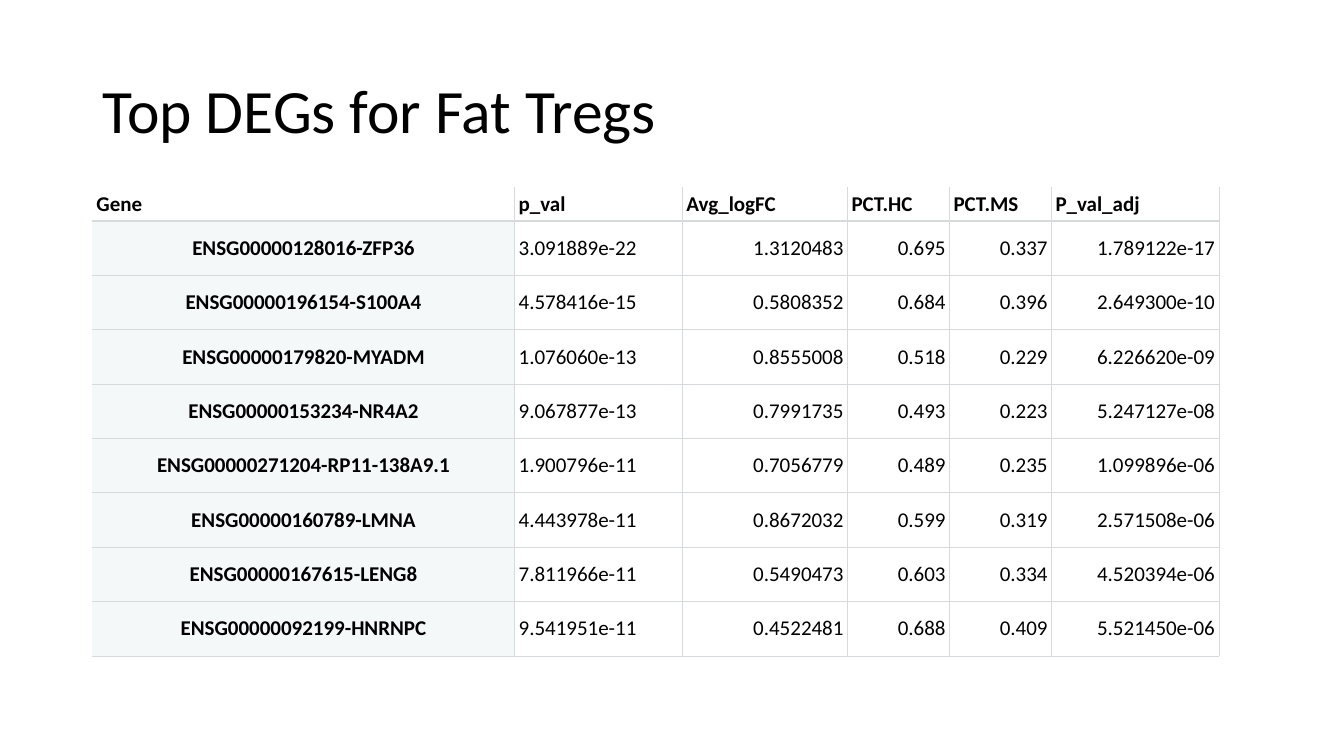
from lxml import etree
from pptx import Presentation
from pptx.dml.color import RGBColor
from pptx.enum.text import MSO_ANCHOR, PP_ALIGN
from pptx.oxml.ns import qn
from pptx.util import Cm, Pt

LEFT, CENTER, RIGHT = PP_ALIGN.LEFT, PP_ALIGN.CENTER, PP_ALIGN.RIGHT
MIDDLE = MSO_ANCHOR.MIDDLE
BLACK = RGBColor(0x00, 0x00, 0x00)
GRID_GRAY = RGBColor(0xD6, 0xDA, 0xDC)
GENE_TINT = RGBColor(0xF4, 0xF8, 0xF9)
FONT = "Calibri"

HEADINGS = ["Gene", "p_val", "Avg_logFC", "PCT.HC", "PCT.MS", "P_val_adj"]
GENES = [
    ["ENSG00000128016-ZFP36", "3.091889e-22", "1.3120483", "0.695", "0.337", "1.789122e-17"],
    ["ENSG00000196154-S100A4", "4.578416e-15", "0.5808352", "0.684", "0.396", "2.649300e-10"],
    ["ENSG00000179820-MYADM", "1.076060e-13", "0.8555008", "0.518", "0.229", "6.226620e-09"],
    ["ENSG00000153234-NR4A2", "9.067877e-13", "0.7991735", "0.493", "0.223", "5.247127e-08"],
    ["ENSG00000271204-RP11-138A9.1", "1.900796e-11", "0.7056779", "0.489", "0.235", "1.099896e-06"],
    ["ENSG00000160789-LMNA", "4.443978e-11", "0.8672032", "0.599", "0.319", "2.571508e-06"],
    ["ENSG00000167615-LENG8", "7.811966e-11", "0.5490473", "0.603", "0.334", "4.520394e-06"],
    ["ENSG00000092199-HNRNPC", "9.541951e-11", "0.4522481", "0.688", "0.409", "5.521450e-06"],
]
COLUMN_WIDTHS = [10.64, 4.23, 4.16, 2.57, 2.57, 4.22]
COLUMN_ALIGNS = [CENTER, LEFT, RIGHT, RIGHT, RIGHT, RIGHT]
HEADER_HEIGHT, GENE_HEIGHT = 0.86, 1.37


def set_font(font, **values):
    for name, value in values.items():
        setattr(font, name, value)
    font.color.rgb = BLACK


def add_border(cell, side, points):
    """Draw one side of a cell, or hide it when points is 0."""
    line = etree.SubElement(cell._tc.get_or_add_tcPr(), qn(f"a:ln{side}"), w=str(Pt(points)))
    if points:
        fill = etree.SubElement(line, qn("a:solidFill"))
        etree.SubElement(fill, qn("a:srgbClr"), val=str(GRID_GRAY))
    else:
        etree.SubElement(line, qn("a:noFill"))


deck = Presentation()
deck.slide_width, deck.slide_height = Cm(33.87), Cm(19.05)
page = deck.slides.add_slide(deck.slide_layouts[5])

# Title
title = page.shapes.title
title.left, title.top, title.width, title.height = Cm(2.33), Cm(1.01), Cm(29.21), Cm(3.68)
title.text_frame.text = "Top DEGs for Fat Tregs"
title.text_frame.vertical_anchor = MIDDLE
para = title.text_frame.paragraphs[0]
para.alignment = LEFT
para.line_spacing = 0.9
set_font(para.runs[0].font, name=FONT, size=Pt(44))

# Gene table
rows = [HEADINGS] + GENES
table_height = HEADER_HEIGHT + GENE_HEIGHT * len(GENES)
frame = page.shapes.add_table(len(rows), len(HEADINGS), Cm(2.33), Cm(4.71),
                              Cm(sum(COLUMN_WIDTHS)), Cm(table_height))
table = frame.table
table.first_row = table.horz_banding = False
for column, width in zip(table.columns, COLUMN_WIDTHS):
    column.width = Cm(width)

for r, values in enumerate(rows):
    is_header = r == 0
    table.rows[r].height = Cm(HEADER_HEIGHT if is_header else GENE_HEIGHT)
    for c, value in enumerate(values):
        cell = table.cell(r, c)
        is_gene = c == 0 and not is_header

        # Open on the left and top edges, heavier line under the headings
        add_border(cell, "L", 0.75 if c else 0)
        add_border(cell, "R", 0.75)
        add_border(cell, "T", {0: 0, 1: 1}.get(r, 0.75))
        add_border(cell, "B", 1 if is_header else 0.75)
        if is_gene:
            cell.fill.solid()
            cell.fill.fore_color.rgb = GENE_TINT
        else:
            cell.fill.background()

        cell.vertical_anchor = MIDDLE
        cell.margin_left = cell.margin_right = Cm(0.1)
        cell.margin_top = cell.margin_bottom = Cm(0.1 if is_header else 0.08)
        cell.text = value
        para = cell.text_frame.paragraphs[0]
        para.alignment = LEFT if is_header else COLUMN_ALIGNS[c]
        set_font(para.runs[0].font, name=FONT, size=Pt(15), bold=is_header or is_gene)

deck.save("out.pptx")
